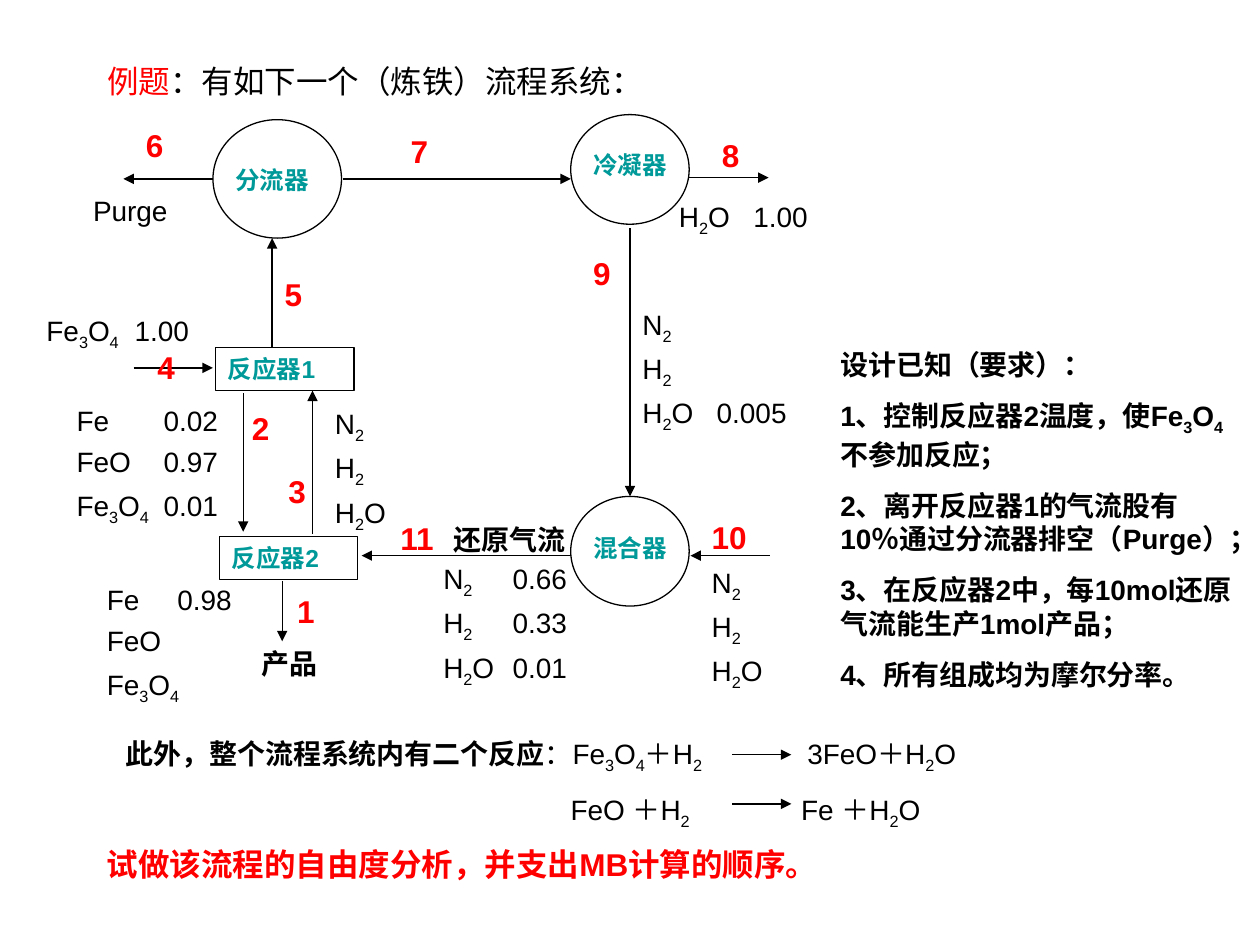
"""Build the iron-making flowsheet example slide."""
import pptx
import pptx.dml.color
import pptx.enum.shapes
import pptx.enum.text
import pptx.oxml
import pptx.oxml.ns
import pptx.util
from lxml import etree

Inches, Pt = pptx.util.Inches, pptx.util.Pt
qn = pptx.oxml.ns.qn
MSO_SHAPE = pptx.enum.shapes.MSO_SHAPE
BLACK = pptx.dml.color.RGBColor(0x00, 0x00, 0x00)
RED = pptx.dml.color.RGBColor(0xFF, 0x00, 0x00)
TEAL = pptx.dml.color.RGBColor(0x00, 0x99, 0x99)

LABEL = {"size": Pt(14), "bold": True}
PLAIN = {"size": Pt(16), "bold": False}
STRONG = {"size": Pt(16), "bold": True}
NUMBER = {"size": Pt(18), "bold": True}
HEADING = {"size": Pt(18), "bold": False}


def place(sp, box):
    """Move a shape to left, top, width, height in inches."""
    for name, value in zip(("left", "top", "width", "height"), box):
        setattr(sp, name, Inches(value))


def write(sp, lines, font, color=BLACK, spacing=1.0, tab=None):
    """Write paragraphs; text between underscores is subscript."""
    tf = sp.text_frame
    frame = {"word_wrap": True, "auto_size": pptx.enum.text.MSO_AUTO_SIZE.NONE,
             "vertical_anchor": pptx.enum.text.MSO_ANCHOR.TOP,
             "margin_left": Inches(0.1), "margin_right": Inches(0.1),
             "margin_top": Inches(0.05), "margin_bottom": Inches(0.05)}
    for name, value in frame.items():
        setattr(tf, name, value)
    for i, line in enumerate(lines):
        p = tf.add_paragraph() if i else tf.paragraphs[0]
        pPr = p._p.get_or_add_pPr()
        if sp.is_placeholder:
            pPr.set("marL", "0")
            pPr.set("indent", "0")
            etree.SubElement(pPr, qn("a:buNone"))
        if tab:
            tab_list = etree.SubElement(pPr, qn("a:tabLst"))
            etree.SubElement(tab_list, qn("a:tab"), pos=str(Inches(tab)), algn="l")
        para = {"alignment": pptx.enum.text.PP_ALIGN.LEFT, "line_spacing": spacing,
                "space_before": Pt(10 if i else 0)}
        for name, value in para.items():
            setattr(p, name, value)
        for j, part in enumerate(line.split("_")):
            if not part:
                continue
            r = p.add_run()
            r.text = part
            for name, value in {"name": "Arial", **font}.items():
                setattr(r.font, name, value)
            r.font.color.rgb = color
            if j % 2:
                r._r.get_or_add_rPr().set("baseline", "-25000")


prs = pptx.Presentation()
prs.slide_width, prs.slide_height = Inches(10), Inches(7.5)
s = prs.slides.add_slide(prs.slide_layouts[1])
title, body = s.placeholders

place(title, (0.75, 0.44, 8.43, 0.4))
write(title, ["例题__：有如下一个（炼铁）流程系统："], HEADING)
title.text_frame.paragraphs[0].runs[0].font.color.rgb = RED

place(body, (6.57, 2.71, 3.31, 3.09))
write(body, [
    "设计已知（要求）：",
    "1、控制反应器2温度，使Fe_3_O_4_不参加反应；",
    "2、离开反应器1的气流股有10％通过分流器排空（Purge）；",
    "3、在反应器2中，每10mol还原气流能生产1mol产品；",
    "4、所有组成均为摩尔分率。",
], STRONG)

units = [
    (MSO_SHAPE.OVAL, (1.69, 0.95, 1.02, 0.94), "分流器", (1.77, 1.26, 0.87, 0.34)),
    (MSO_SHAPE.OVAL, (4.53, 0.91, 0.94, 0.87), "冷凝器", (4.61, 1.14, 0.87, 0.34)),
    (MSO_SHAPE.OVAL, (4.53, 3.94, 0.94, 0.87), "混合器", (4.61, 4.18, 0.87, 0.34)),
    (MSO_SHAPE.RECTANGLE, (1.71, 2.76, 1.1, 0.34), "反应器1", None),
    (MSO_SHAPE.RECTANGLE, (1.74, 4.26, 1.1, 0.34), "反应器2", None),
]
for kind, box, name, label_box in units:
    sp = s.shapes.add_shape(kind, *map(Inches, box))
    sp.shadow.inherit = False
    sp.fill.background()
    sp.line.color.rgb = BLACK
    sp.line.width = Pt(0.75)
    if label_box:
        sp = s.shapes.add_textbox(*map(Inches, label_box))
    write(sp, [name], LABEL, TEAL)

arrows = [
    (2.16, 2.76, 2.16, 1.89), (1.69, 1.42, 0.98, 1.42), (2.72, 1.42, 4.53, 1.42),
    (5, 1.81, 5, 3.94), (4.53, 4.41, 2.87, 4.41), (1.06, 2.92, 1.69, 2.92),
    (1.93, 3.12, 1.93, 4.22), (2.48, 4.24, 2.48, 3.1), (2.24, 4.61, 2.24, 5.09),
    (5.47, 1.41, 6.1, 1.41), (6.11, 4.41, 5.48, 4.41),
    (5.81, 5.99, 6.28, 5.99), (5.81, 6.38, 6.28, 6.38),
]
for ends in arrows:
    c = s.shapes.add_connector(pptx.enum.shapes.MSO_CONNECTOR.STRAIGHT, *map(Inches, ends))
    c.line.color.rgb = BLACK
    c.line.width = Pt(0.75)
    etree.SubElement(c.line._get_or_add_ln(), qn("a:tailEnd"), type="triangle")
    etree.SubElement(c._element.spPr, qn("a:effectLst"))

captions = [
    ((0.64, 1.49, 0.87, 0.37), "Purge", PLAIN),
    ((1.98, 5.08, 0.71, 0.37), "产品", STRONG),
    ((3.5, 4.1, 1.1, 0.37), "还原气流", STRONG),
    ((6.31, 5.8, 1.8, 0.41), "3FeO＋H_2_O", PLAIN),
    ((4.43, 6.24, 1.4, 0.41), "FeO ＋H_2_", PLAIN),
    ((6.26, 6.24, 1.8, 0.41), "Fe ＋H_2_O", PLAIN),
]
for box, text, font in captions:
    write(s.shapes.add_textbox(*map(Inches, box)), [text], font)

gases = ["N_2_", "H_2_", "H_2_O"]
compositions = [
    ((0.27, 2.44, 1.65, 0.41), ["Fe_3_O_4_\t1.00"], 1.0, 0.7),
    ((0.51, 3.23, 1.65, 0.97), ["Fe\t0.02", "FeO\t0.97", "Fe_3_O_4_\t0.01"], 0.7, 0.69),
    ((0.75, 4.65, 1.34, 0.97), ["Fe\t0.98", "FeO", "Fe_3_O_4_"], 0.7, 0.56),
    ((2.56, 3.23, 0.71, 1.02), gases, 0.7, None),
    ((3.42, 4.46, 1.34, 1.02), ["N_2_\t0.66", "H_2_\t0.33", "H_2_O\t0.01"], 0.7, 0.55),
    ((5.55, 4.49, 0.71, 1.02), gases, 0.7, None),
    ((5, 2.44, 1.5, 1.02), gases[:2] + ["H_2_O\t0.005"], 0.7, 0.59),
    ((5.29, 1.59, 1.34, 0.31), ["H_2_O\t1.00"], 0.7, 0.59),
]
for box, lines, spacing, tab in compositions:
    write(s.shapes.add_textbox(*map(Inches, box)), lines, PLAIN, spacing=spacing, tab=tab)

streams = {
    1: (2.26, 4.65), 2: (1.9, 3.2), 3: (2.19, 3.7), 4: (1.15, 2.71),
    5: (2.16, 2.13), 6: (1.06, 0.95), 7: (3.16, 1), 8: (5.63, 1.03),
    9: (4.61, 1.97), 10: (5.55, 4.06), 11: (3.08, 4.07),
}
for number, (x, y) in streams.items():
    width = 0.5 if number > 9 else 0.35
    sp = s.shapes.add_textbox(Inches(x), Inches(y), Inches(width), Inches(0.4))
    write(sp, [str(number)], NUMBER, RED)

sp = s.shapes.add_textbox(Inches(0.9), Inches(5.8), Inches(5), Inches(0.41))
write(sp, ["此外，整个流程系统内有二个反应__：Fe_3_O_4_＋H_2_"], PLAIN)
sp.text_frame.paragraphs[0].runs[0].font.bold = True

sp = s.shapes.add_textbox(Inches(0.75), Inches(6.66), Inches(8.27), Inches(0.4))
write(sp, ["试做该流程的自由度分析，并支出MB计算的顺序。"], NUMBER, RED)

prs.save("out.pptx")
